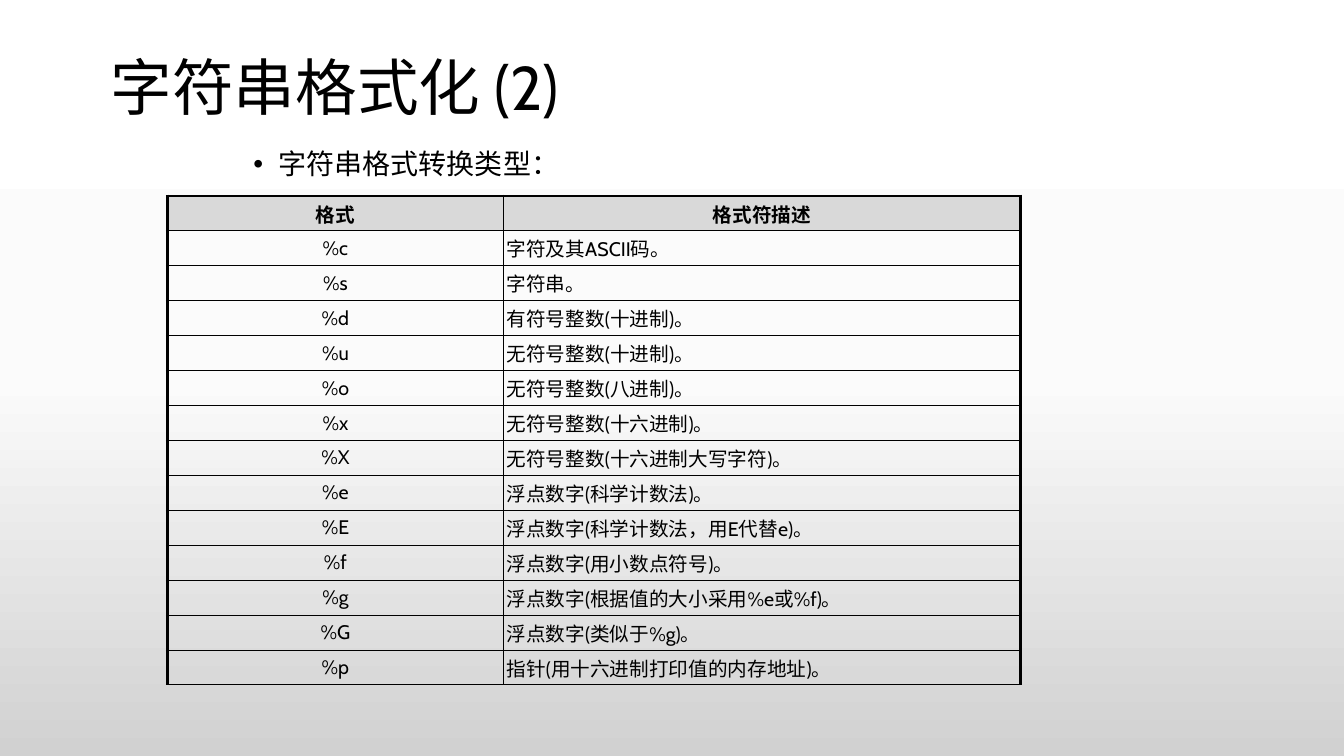
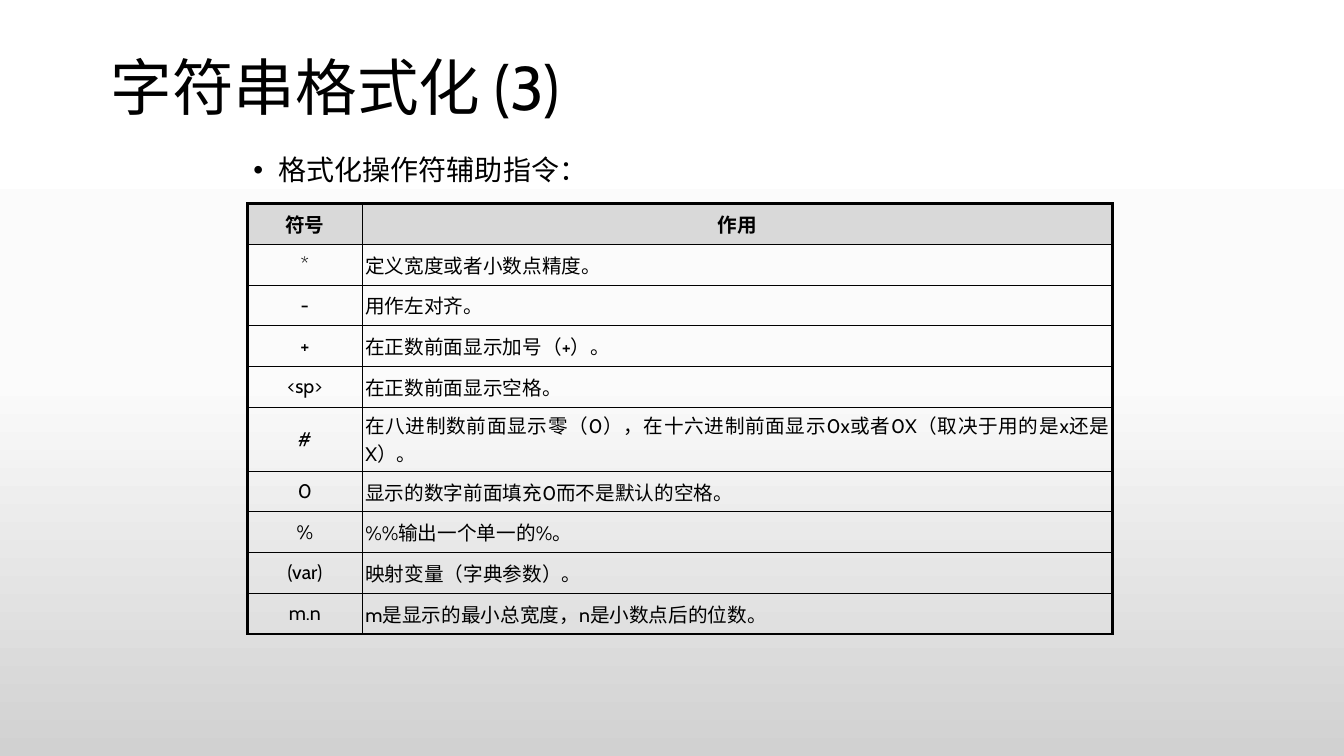
from copy import deepcopy

from lxml.etree import SubElement
from pptx import Presentation
from pptx.dml.color import RGBColor
from pptx.enum.text import MSO_ANCHOR, PP_ALIGN
from pptx.oxml.ns import qn
from pptx.util import Pt

FONT = "Cabin"
BLACK = RGBColor(0x00, 0x00, 0x00)
HEADER_GRAY = RGBColor(0xD9, 0xD9, 0xD9)
BACKGROUND_STOPS = [
    (0, RGBColor(0xFF, 0xFF, 0xFF)),
    (0.5, RGBColor(0xFB, 0xFB, 0xFB)),
    (1, RGBColor(0xD1, 0xD1, 0xD1)),
]
THICK, THIN = 2.25, 0.75
CELL_MARGIN = Pt(2.2)

SLIDES = [
    {
        "title": "字符串格式化 (2)",
        "bullet": "字符串格式转换类型：",
        "bullet_top": 103.7,
        "table_at": (119.5, 140),
        "columns": (240.2, 369.2),
        "row_height": 24.95,
        "tall_rows": {},
        "bottom_border": THIN,
        "rows": [
            ("格式", "格式符描述"),
            ("%c", "字符及其ASCII码。"),
            ("%s", "字符串。"),
            ("%d", "有符号整数(十进制)。"),
            ("%u", "无符号整数(十进制)。"),
            ("%o", "无符号整数(八进制)。"),
            ("%x", "无符号整数(十六进制)。"),
            ("%X", "无符号整数(十六进制大写字符)。"),
            ("%e", "浮点数字(科学计数法)。"),
            ("%E", "浮点数字(科学计数法，用E代替e)。"),
            ("%f", "浮点数字(用小数点符号)。"),
            ("%g", "浮点数字(根据值的大小采用%e或%f)。"),
            ("%G", "浮点数字(类似于%g)。"),
            ("%p", "指针(用十六进制打印值的内存地址)。"),
        ],
    },
    {
        "title": "字符串格式化 (3)",
        "bullet": "格式化操作符辅助指令：",
        "bullet_top": 108.3,
        "table_at": (176.8, 145.4),
        "columns": (82, 535.9),
        "row_height": 29.1,
        "tall_rows": {5: 45.7},
        "bottom_border": THICK,
        "rows": [
            ("符号", "作用"),
            ("*", "定义宽度或者小数点精度。"),
            ("-", "用作左对齐。"),
            ("+", "在正数前面显示加号（+）。"),
            ("<sp>", "在正数前面显示空格。"),
            ("#", "在八进制数前面显示零（0），在十六进制前面显示0x或者0X（取决于用的是x还是X）。"),
            ("0", "显示的数字前面填充0而不是默认的空格。"),
            ("%", "%%输出一个单一的%。"),
            ("(var)", "映射变量（字典参数）。"),
            ("m.n", "m是显示的最小总宽度，n是小数点后的位数。"),
        ],
    },
]


def set_background(master):
    fill = master.background.fill
    fill.gradient()
    fill.gradient_angle = 270
    stop_list = master.element.find(".//" + qn("a:gsLst"))
    stop_list.append(deepcopy(stop_list[-1]))
    for stop, (position, color) in zip(fill.gradient_stops, BACKGROUND_STOPS):
        stop.position = position
        stop.color.rgb = color


def style_paragraph(paragraph, size, bold=False):
    font = paragraph.font
    font.name, font.size, font.bold = FONT, Pt(size), bold
    font.color.rgb = BLACK


def add_text(slide, text, box, size, anchor):
    shape = slide.shapes.add_textbox(*map(Pt, box))
    frame = shape.text_frame
    frame.word_wrap = True
    frame.vertical_anchor = anchor
    paragraph = frame.paragraphs[0]
    paragraph.text = text
    paragraph.line_spacing = 0.9
    style_paragraph(paragraph, size)
    return paragraph


def add_bullet(paragraph):
    paragraph.space_before = Pt(10)
    properties = paragraph._p.get_or_add_pPr()
    properties.set("marL", str(Pt(18)))
    properties.set("indent", str(-Pt(18)))
    bullet_font = SubElement(properties, qn("a:buFont"))
    bullet_font.set("typeface", "Arial")
    SubElement(properties, qn("a:buChar")).set("char", "•")


def set_borders(cell, widths):
    properties = cell._tc.get_or_add_tcPr()
    for index, (side, width) in enumerate(widths.items()):
        line = properties.makeelement(qn("a:ln" + side), {"w": str(Pt(width))})
        fill = SubElement(line, qn("a:solidFill"))
        SubElement(fill, qn("a:srgbClr")).set("val", str(BLACK))
        properties.insert(index, line)


def add_format_table(slide, content):
    rows, columns = content["rows"], content["columns"]
    heights = [
        content["tall_rows"].get(index, content["row_height"])
        for index in range(len(rows))
    ]
    last_row, last_column = len(rows) - 1, len(columns) - 1
    size = (sum(columns), sum(heights))
    table = slide.shapes.add_table(
        len(rows), len(columns), *map(Pt, content["table_at"] + size)
    ).table
    table.horz_banding = False
    for column, width in zip(table.columns, columns):
        column.width = Pt(width)
    for row_index, values in enumerate(rows):
        table.rows[row_index].height = Pt(heights[row_index])
        is_header = row_index == 0
        for column_index, value in enumerate(values):
            cell = table.cell(row_index, column_index)
            cell.margin_left = cell.margin_right = CELL_MARGIN
            cell.margin_top = cell.margin_bottom = CELL_MARGIN
            cell.vertical_anchor = MSO_ANCHOR.MIDDLE
            if is_header:
                cell.fill.solid()
                cell.fill.fore_color.rgb = HEADER_GRAY
            else:
                cell.fill.background()
            paragraph = cell.text_frame.paragraphs[0]
            paragraph.text = value
            centered = is_header or column_index == 0
            paragraph.alignment = PP_ALIGN.CENTER if centered else PP_ALIGN.JUSTIFY
            style_paragraph(paragraph, 14, is_header)
            set_borders(cell, {
                "L": THICK if column_index == 0 else THIN,
                "R": THICK if column_index == last_column else THIN,
                "T": THICK if is_header else THIN,
                "B": content["bottom_border"] if row_index == last_row else THIN,
            })


def main():
    """Build the string formatting slides."""
    presentation = Presentation()
    presentation.slide_width, presentation.slide_height = Pt(960), Pt(540)
    set_background(presentation.slide_master)
    for content in SLIDES:
        slide = presentation.slides.add_slide(presentation.slide_layouts[6])
        add_text(slide, content["title"], (72, 30.4, 831.6, 68.4), 44, MSO_ANCHOR.MIDDLE)
        bullet_box = (174, content["bullet_top"], 623.5, 30.5)
        add_bullet(add_text(slide, content["bullet"], bullet_box, 20, MSO_ANCHOR.TOP))
        add_format_table(slide, content)
    presentation.save("out.pptx")


if __name__ == "__main__":
    main()
